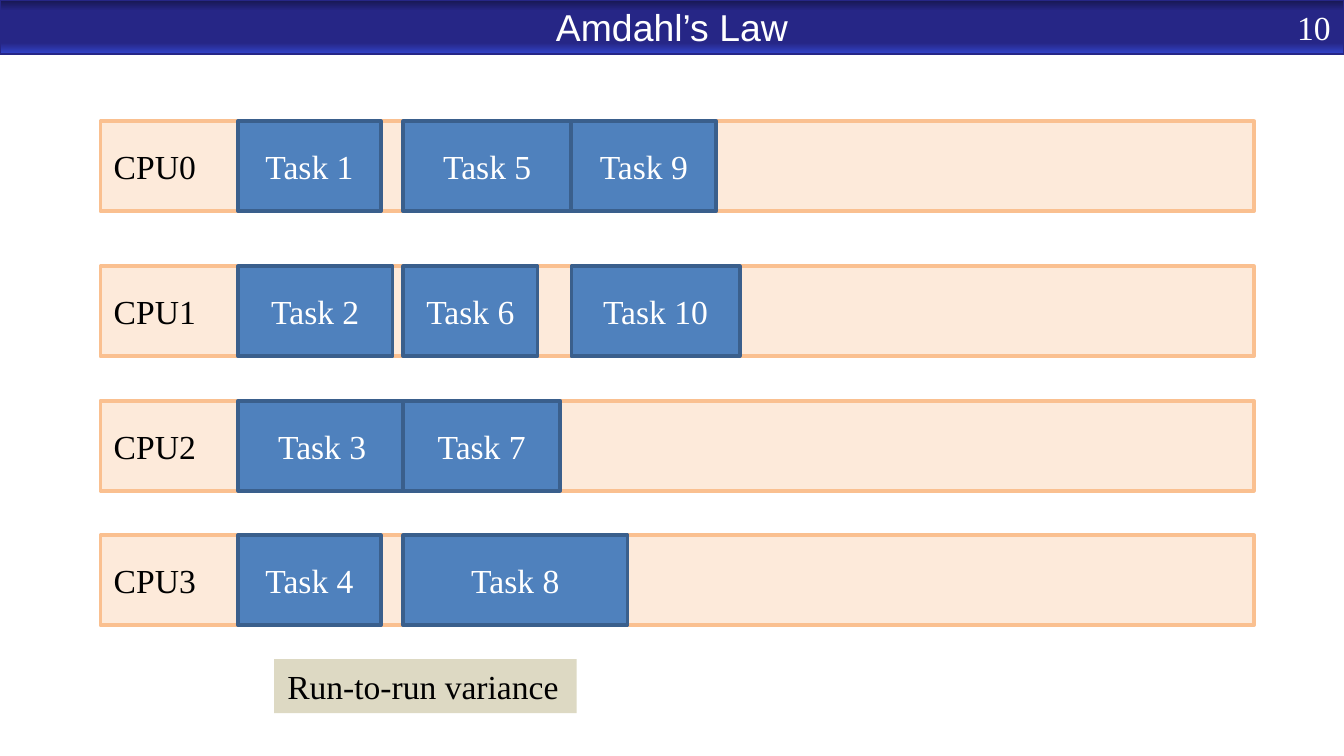
from dataclasses import dataclass

import lxml.etree
import pptx
import pptx.dml.color
import pptx.enum.shapes
import pptx.enum.text
import pptx.oxml.ns
import pptx.util

Cm = pptx.util.Cm
Pt = pptx.util.Pt
Align = pptx.enum.text.PP_ALIGN
Anchor = pptx.enum.text.MSO_ANCHOR


@dataclass(frozen=True)
class Theme:
    heading_font: str = "Arial"
    body_font: str = "Times New Roman"
    heading_size: int = 20
    body_size: int = 18
    light: str = "FFFFFF"
    dark: str = "000000"
    banner_line: str = "262686"
    banner_stops: tuple = ((0, "171751"), (20, "262686"), (80, "262686"), (100, "3345CB"))
    lane_fill: str = "FDEADA"
    lane_line: str = "FAC090"
    task_fill: str = "4F81BD"
    task_line: str = "3A5F8C"
    note_fill: str = "DDD9C3"


def rgb(value):
    return pptx.dml.color.RGBColor.from_string(value)


class SlideBuilder:
    """Holds the theme and the current slide."""

    def __init__(self, slide, theme):
        self.slide = slide
        self.theme = theme

    def set_text(self, shape, text, color, alignment, anchor=Anchor.MIDDLE, font=None, size=None):
        frame = shape.text_frame
        frame.text = text
        frame.word_wrap = True
        frame.auto_size = pptx.enum.text.MSO_AUTO_SIZE.NONE
        frame.vertical_anchor = anchor
        paragraph = frame.paragraphs[0]
        paragraph.alignment = alignment
        run_font = paragraph.runs[0].font
        run_font.name = font or self.theme.body_font
        run_font.size = Pt(size or self.theme.body_size)
        run_font.color.rgb = rgb(color)

    def title(self, text, width, height):
        theme = self.theme
        shape = self.slide.shapes.title
        shape.left, shape.top, shape.width, shape.height = 0, 0, Cm(width), Cm(height)
        shape.line.color.rgb = rgb(theme.banner_line)
        shape.line.width = Pt(1.5)
        shape.fill.gradient()
        shape.fill.gradient_angle = 270
        # Replace the two preset stops with the theme's four
        qualified = pptx.oxml.ns.qn
        stops = shape.element.spPr.find(".//" + qualified("a:gsLst"))
        for stop in list(stops):
            stops.remove(stop)
        for position, color in theme.banner_stops:
            stop = lxml.etree.SubElement(stops, qualified("a:gs"), pos=str(position * 1000))
            lxml.etree.SubElement(stop, qualified("a:srgbClr"), val=color)
        self.set_text(shape, text, theme.light, Align.CENTER,
                      font=theme.heading_font, size=theme.heading_size)

    def page_number(self, text, left, top, width, height):
        shape = self.slide.shapes.add_textbox(Cm(left), Cm(top), Cm(width), Cm(height))
        self.set_text(shape, text, self.theme.light, Align.RIGHT)

    def box(self, left, top, width, height, fill, line=None):
        shape = self.slide.shapes.add_shape(
            pptx.enum.shapes.MSO_SHAPE.RECTANGLE, Cm(left), Cm(top), Cm(width), Cm(height))
        shape.shadow.inherit = False
        shape.fill.solid()
        shape.fill.fore_color.rgb = rgb(fill)
        if line:
            shape.line.color.rgb = rgb(line)
            shape.line.width = Pt(2)
        else:
            shape.line.fill.background()
        return shape

    def lane(self, text, left, top, width, height):
        shape = self.box(left, top, width, height, self.theme.lane_fill, self.theme.lane_line)
        self.set_text(shape, text, self.theme.dark, Align.LEFT)

    def task(self, text, left, top, width, height):
        shape = self.box(left, top, width, height, self.theme.task_fill, self.theme.task_line)
        self.set_text(shape, text, self.theme.light, Align.CENTER)

    def note(self, text, left, top, width, height):
        shape = self.box(left, top, width, height, self.theme.note_fill)
        self.set_text(shape, text, self.theme.dark, Align.LEFT, Anchor.TOP)


def main():
    slide_width, lane_height = 25.4, 1.7
    lane_tops = [2.29] + [5.03 + 2.54 * step for step in range(3)]
    round_starts = [4.5, 7.62, 10.8]
    task_widths = [2.7, 2.92, 3.18, 2.7, 3.18, 2.54, 2.97, 4.24, 2.74, 3.18]

    presentation = pptx.Presentation()
    presentation.slide_width = Cm(slide_width)
    presentation.slide_height = Cm(14.28)
    title_only = presentation.slide_layouts[5]
    builder = SlideBuilder(presentation.slides.add_slide(title_only), Theme())

    # Banner
    builder.title("Amdahl’s Law", slide_width, 1.02)
    builder.page_number("10", 22.22, 0.13, 3.18, 0.76)

    # One lane per processor
    for index, top in enumerate(lane_tops):
        builder.lane(f"CPU{index}", 1.9, top, 21.8, lane_height)

    # Tasks are dealt to the lanes in turn, one round per start time
    for index, width in enumerate(task_widths):
        task_round, lane = divmod(index, len(lane_tops))
        builder.task(f"Task {index + 1}", round_starts[task_round], lane_tops[lane],
                     width, lane_height)

    # Caption
    builder.note("Run-to-run variance", 5.18, 12.45, 5.72, 1.02)

    presentation.save("out.pptx")


if __name__ == "__main__":
    main()
